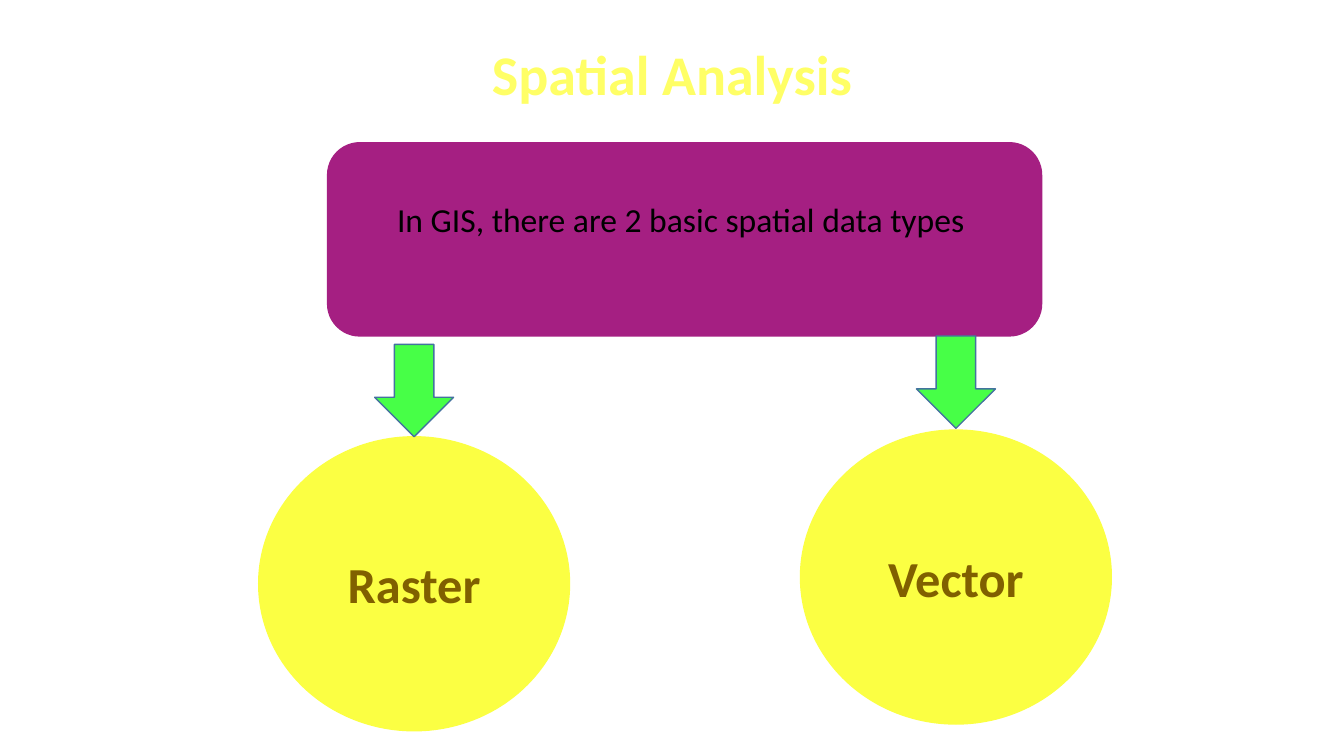
from pptx import Presentation
from pptx.dml.color import RGBColor
from pptx.enum import shapes, text
from pptx.util import Inches, Pt

COLOURS = {
    "panel": "A51F82",
    "circle": "FBFF43",
    "arrow": "47FF47",
    "arrow_edge": "43739E",
    "statement": "000000",
    "label": "806000",
    "title": "FFFF66",
}

deck = Presentation()
deck.slide_width = Inches(13.33)
deck.slide_height = Inches(7.5)
column = deck.slide_width / 160
row = deck.slide_height / 90
page = deck.slides.add_slide(deck.slide_layouts[6])


def add_figure(kind, left, top, width, height, fill, edge):
    figure = page.shapes.add_shape(
        kind, round(left * column), round(top * row),
        round(width * column), round(height * row))
    figure.shadow.inherit = False
    figure.fill.solid()
    figure.fill.fore_color.rgb = RGBColor.from_string(COLOURS[fill])
    figure.line.color.rgb = RGBColor.from_string(COLOURS[edge])
    figure.line.width = Pt(1)
    return figure


def write(box, wording, size, colour, bold, anchor):
    frame = box.text_frame
    frame.word_wrap = True
    frame.vertical_anchor = anchor
    para = frame.paragraphs[0]
    para.alignment = text.PP_ALIGN.CENTER
    span = para.add_run()
    span.text = wording
    span.font.name = "Calibri"
    span.font.size = Pt(size)
    span.font.bold = bold
    span.font.color.rgb = RGBColor.from_string(COLOURS[colour])


middle = text.MSO_ANCHOR.MIDDLE
panel = add_figure(shapes.MSO_SHAPE.ROUNDED_RECTANGLE, 39, 17, 85, 23, "panel", "panel")
panel.text_frame.margin_bottom = round(5.4 * row)
write(panel, "In GIS, there are 2 basic spatial data types ", 24, "statement", False, middle)

circle_width, circle_height = 37, 35
arrow_width, arrow_height = 9.4, 11
branches = [("Raster", 49.3, 41, 52), ("Vector", 113.8, 40, 51.2)]
for name, centre, arrow_top, circle_top in branches:
    circle = add_figure(
        shapes.MSO_SHAPE.OVAL, centre - circle_width / 2, circle_top,
        circle_width, circle_height, "circle", "circle")
    write(circle, name, 36, "label", True, middle)
    add_figure(
        shapes.MSO_SHAPE.DOWN_ARROW, centre - arrow_width / 2, arrow_top,
        arrow_width, arrow_height, "arrow", "arrow_edge")

title = page.shapes.add_textbox(
    round(20 * column), 0, round(120 * column), round(13.3 * row))
write(title, "Spatial Analysis", 40, "title", True, text.MSO_ANCHOR.BOTTOM)

deck.save("out.pptx")
